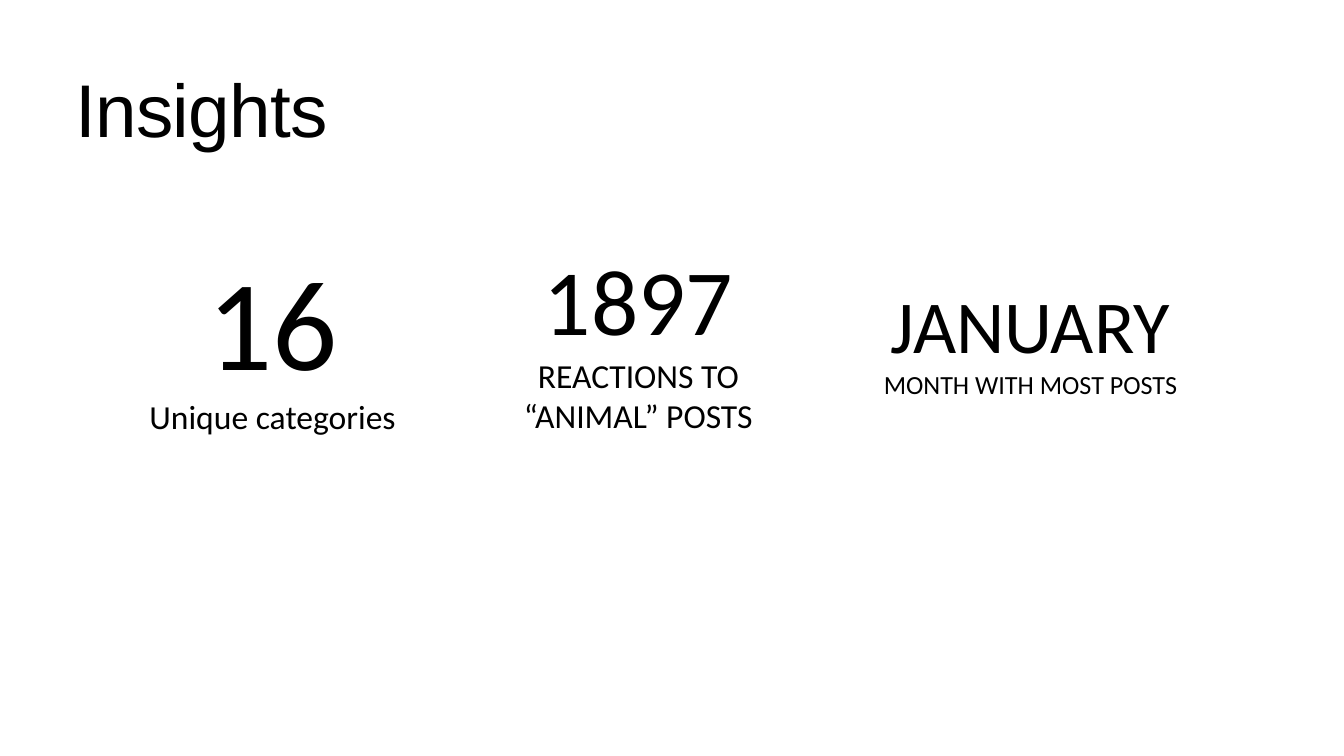
"""Build the Insights slide with three key figures."""
import pptx
import pptx.util
import pptx.dml.color
import pptx.enum.shapes
import pptx.enum.text

Pt = pptx.util.Pt
BLACK = pptx.dml.color.RGBColor(0, 0, 0)
WHITE = pptx.dml.color.RGBColor(255, 255, 255)
ALIGN = pptx.enum.text.PP_ALIGN
ANCHOR = pptx.enum.text.MSO_ANCHOR

HEADING = "Insights"
INSIGHTS = [
    dict(figure="16", figure_size=138, caption="Unique categories",
         caption_size=36, width=378, height=304.5, indent=14),
    dict(figure="1897", figure_size=100, caption="REACTIONS TO “ANIMAL” POSTS",
         caption_size=36, width=336, height=240, indent=0),
    dict(figure="JANUARY", figure_size=80, caption="MONTH WITH MOST POSTS",
         caption_size=28, width=336, height=240, indent=0),
]
FIRST_LEFT, COLUMN_STEP, MIDDLE = 96, 420, 363


def write(paragraph, text, size, font="Calibri", align=ALIGN.CENTER,
          color=BLACK, line_spacing=None, tracking=None):
    """Put one formatted run into a paragraph."""
    paragraph.alignment = align
    if line_spacing:
        paragraph.line_spacing = Pt(line_spacing)
    run = paragraph.add_run()
    run.text = text
    run.font.size = Pt(size)
    run.font.name = font
    run.font.color.rgb = color
    if tracking:
        run.font._element.set("spc", str(tracking))


def add_heading(slide):
    """Place the heading in the title placeholder."""
    heading = slide.shapes.title
    heading.left, heading.top = Pt(80.64), Pt(67.68)
    heading.width, heading.height = Pt(365), Pt(97.2)
    frame = heading.text_frame
    frame.margin_left = frame.margin_right = 0
    frame.margin_top = frame.margin_bottom = 0
    frame.vertical_anchor = ANCHOR.TOP
    frame.auto_size = pptx.enum.text.MSO_AUTO_SIZE.NONE
    write(frame.paragraphs[0], HEADING, 80, font="Arial", align=ALIGN.LEFT,
          line_spacing=96, tracking=-80)


def add_insight(slide, column, insight):
    """Draw one figure with its caption, centred on the shared middle line."""
    card = slide.shapes.add_shape(
        pptx.enum.shapes.MSO_SHAPE.RECTANGLE,
        Pt(FIRST_LEFT + column * COLUMN_STEP), Pt(MIDDLE - insight["height"] / 2),
        Pt(insight["width"]), Pt(insight["height"]))
    card.shadow.inherit = False
    card.fill.solid()
    card.fill.fore_color.rgb = WHITE
    card.line.fill.background()
    frame = card.text_frame
    frame.word_wrap = True
    frame.vertical_anchor = ANCHOR.MIDDLE
    frame.margin_left = Pt(7.2 + insight["indent"])
    write(frame.paragraphs[0], insight["figure"], insight["figure_size"])
    write(frame.add_paragraph(), insight["caption"], insight["caption_size"])


def main():
    """Assemble and save the deck."""
    deck = pptx.Presentation()
    deck.slide_width, deck.slide_height = Pt(1440), Pt(810)
    slide = deck.slides.add_slide(deck.slide_layouts[5])
    slide.background.fill.solid()
    slide.background.fill.fore_color.rgb = WHITE
    add_heading(slide)
    for column, insight in enumerate(INSIGHTS):
        add_insight(slide, column, insight)
    deck.save("out.pptx")


if __name__ == "__main__":
    main()
